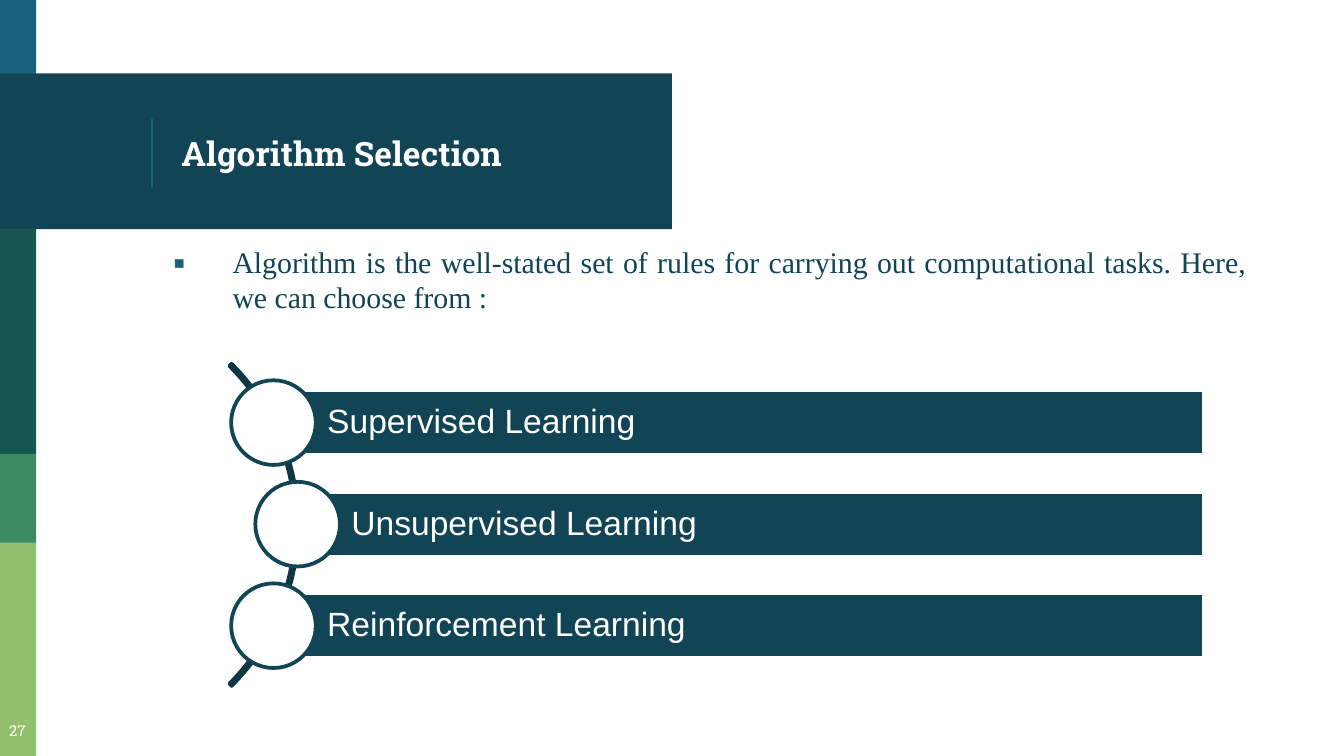
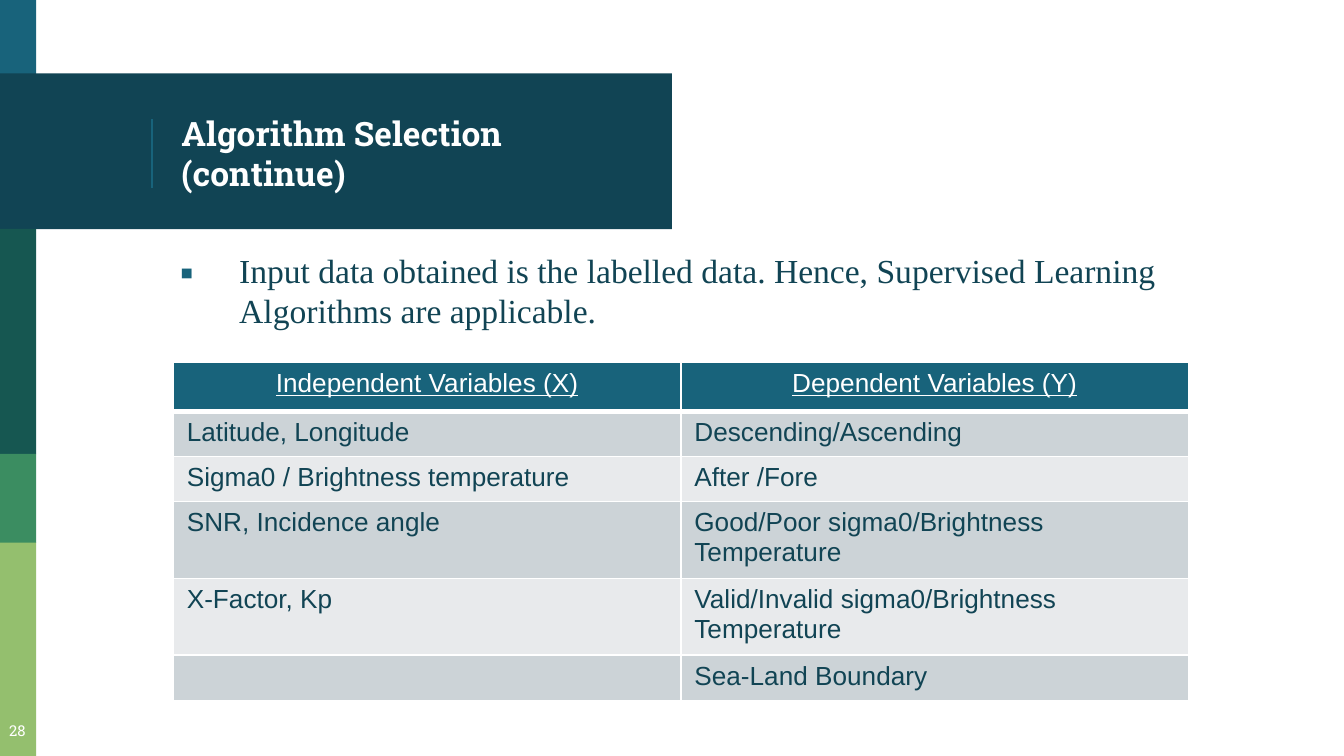
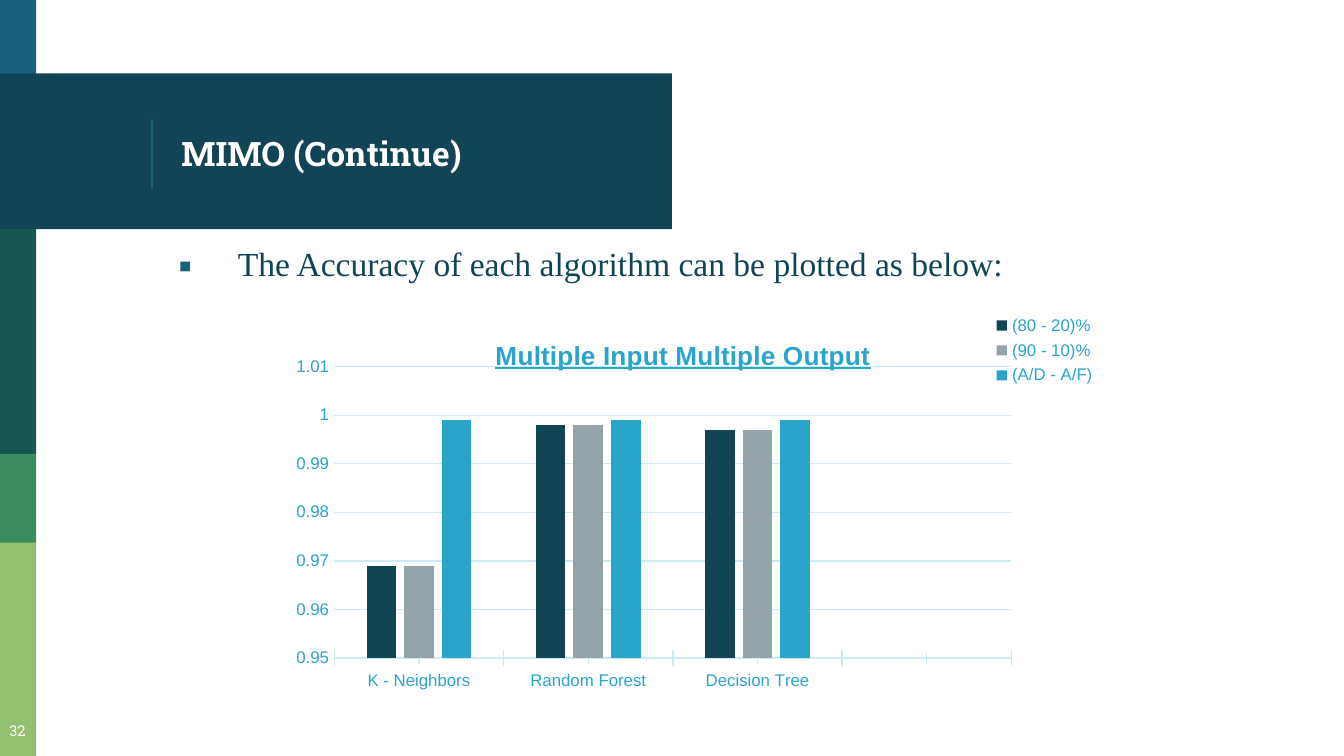
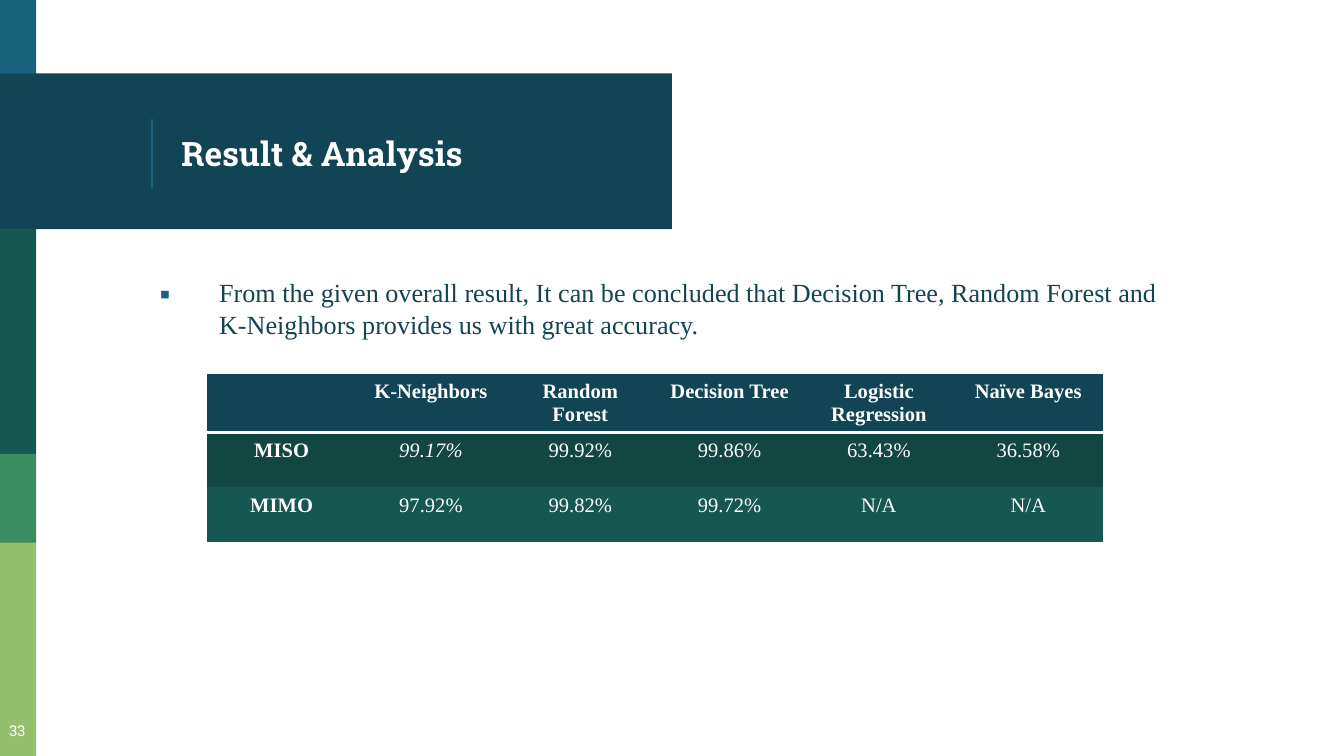
from dataclasses import dataclass

from lxml import etree
from pptx import Presentation
from pptx.chart.data import CategoryChartData
from pptx.dml.color import RGBColor
from pptx.enum.chart import XL_CHART_TYPE, XL_LEGEND_POSITION, XL_TICK_LABEL_POSITION, XL_TICK_MARK
from pptx.enum.shapes import MSO_CONNECTOR, MSO_SHAPE
from pptx.enum.text import MSO_ANCHOR, MSO_AUTO_SIZE, PP_ALIGN
from pptx.oxml.ns import qn
from pptx.util import Pt

RECT, OVAL, ARC = MSO_SHAPE.RECTANGLE, MSO_SHAPE.OVAL, MSO_SHAPE.BLOCK_ARC
STRAIGHT = MSO_CONNECTOR.STRAIGHT
LEFT, CENTER, JUSTIFY = PP_ALIGN.LEFT, PP_ALIGN.CENTER, PP_ALIGN.JUSTIFY
TOP, MIDDLE = MSO_ANCHOR.TOP, MSO_ANCHOR.MIDDLE
NO_AUTOFIT = MSO_AUTO_SIZE.NONE
CLUSTERED = XL_CHART_TYPE.COLUMN_CLUSTERED
CORNER = XL_LEGEND_POSITION.CORNER
TICK_CROSS, TICK_NONE = XL_TICK_MARK.CROSS, XL_TICK_MARK.NONE
LABELS_LOW = XL_TICK_LABEL_POSITION.LOW
PLAIN_TABLE_STYLE = "{2D5ABB26-0587-4C30-8999-92F81FD0307C}"


@dataclass(frozen=True)
class Theme:
    # Colours
    white: str = "FFFFFF"
    navy: str = "114454"
    teal: str = "18637B"
    pine: str = "165751"
    dark_pine: str = "124641"
    green: str = "3B8D61"
    lime: str = "94BF6E"
    arc: str = "0E3643"
    row_odd: str = "CCD3D7"
    row_even: str = "E8EAEC"
    grey: str = "93A3A9"
    sky: str = "29A4CB"
    grid: str = "CCEBF5"
    # Fonts
    slab: str = "Roboto Slab"
    serif: str = "Times New Roman"
    sans: str = "Arial"
    # Type sizes
    title: float = 18
    large: float = 18
    medium: float = 16
    small: float = 14
    result: float = 11
    chart: float = 10
    axis: float = 9
    number: float = 8


THEME = Theme()
PAGE_WIDTH, PAGE_HEIGHT = 720, 405
INSET = 7.2


def rgb(colour):
    return RGBColor.from_string(colour)


def points(*lengths):
    return [Pt(length) for length in lengths]


# Text
def style_font(font, name, size, colour, bold=False, italic=False, underline=False):
    font.name, font.size = name, Pt(size)
    font.color.rgb = rgb(colour)
    font.bold, font.italic, font.underline = bold, italic, underline


def add_run(paragraph, text, *style, **emphasis):
    run = paragraph.add_run()
    run.text = text
    style_font(run.font, *style, **emphasis)


def set_frame(frame, anchor, margins=(INSET,) * 4):
    frame.word_wrap = True
    frame.auto_size = NO_AUTOFIT
    frame.vertical_anchor = anchor
    (frame.margin_left, frame.margin_top,
     frame.margin_right, frame.margin_bottom) = points(*margins)


def place(shape, box):
    shape.left, shape.top, shape.width, shape.height = points(*box)


def set_bullet(paragraph):
    properties = paragraph._p.get_or_add_pPr()
    properties.set("marL", str(Pt(36)))
    properties.set("indent", str(-Pt(31.68)))
    colour = etree.SubElement(properties, qn("a:buClr"))
    etree.SubElement(colour, qn("a:srgbClr"), val=THEME.teal)
    etree.SubElement(properties, qn("a:buFont"), typeface=THEME.slab)
    etree.SubElement(properties, qn("a:buChar"), char="▪")


# Shapes
def add_shape(slide, kind, box, fill=None, line=None):
    shape = slide.shapes.add_shape(kind, *points(*box))
    shape.shadow.inherit = False
    if fill:
        shape.fill.solid()
        shape.fill.fore_color.rgb = rgb(fill)
    else:
        shape.fill.background()
    if line:
        shape.line.color.rgb = rgb(line)
        shape.line.width = Pt(2)
    else:
        shape.line.fill.background()
    return shape


def build_layout(layout, slide):
    """Draw the side strip and title band, then hand them to the layout."""
    parts = [
        add_shape(slide, RECT, box, fill) for box, fill in (
            ((0, 0, 19.44, 41.76), THEME.teal),
            ((0, 39.4, 360, 83.4), THEME.navy),
            ((0, 122.6, 19.44, 120.8), THEME.pine),
            ((0, 243.2, 19.44, 47.6), THEME.green),
            ((0, 290.7, 19.44, 114.3), THEME.lime),
        )
    ]
    rule = slide.shapes.add_connector(STRAIGHT, *points(81.5, 64, 81.5, 100.8))
    rule.line.color.rgb = rgb(THEME.teal)
    rule.line.width = Pt(0.75)
    etree.SubElement(rule.element.spPr, qn("a:effectLst"))
    for depth, part in enumerate([*parts, rule], start=2):
        layout.shapes.element.insert(depth, part.element)


def fill_slide(slide, title, number, statement, body_box, size,
               align=LEFT, title_width=252.72):
    # Title
    place(slide.shapes.title, (90, 41.76, title_width, 80.64))
    frame = slide.shapes.title.text_frame
    set_frame(frame, MIDDLE)
    frame.paragraphs[0].alignment = LEFT
    add_run(frame.paragraphs[0], title, THEME.slab, THEME.title, THEME.white, bold=True)

    # Bulleted statement
    body = slide.placeholders[1]
    place(body, body_box)
    set_frame(body.text_frame, TOP)
    paragraph = body.text_frame.paragraphs[0]
    paragraph.alignment = align
    paragraph.space_before = Pt(6)
    set_bullet(paragraph)
    add_run(paragraph, statement, THEME.serif, size, THEME.navy)

    # Page number
    page = slide.shapes.add_textbox(*points(-4.32, 379.6, 27.36, 25.2)).text_frame
    set_frame(page, TOP)
    page.paragraphs[0].alignment = CENTER
    add_run(page.paragraphs[0], str(number), THEME.slab, THEME.number, THEME.white)


# Learning types along an arc
def add_learning_types(slide, names):
    arc = add_shape(slide, ARC, (-84.24, 159.12, 244.08, 244.08), line=THEME.arc)
    arc.adjustments[0], arc.adjustments[1], arc.adjustments[2] = 189, 27, 0.007
    right_edge, bar_height, diameter, step = 645.12, 34.56, 45.36, 54.4
    for index, name in enumerate(names):
        circle_left = 123.84 + (12.96 if index % 2 else 0)
        circle_top = 203.76 + index * step
        bar_left = circle_left + diameter / 2
        bar_top = circle_top + (diameter - bar_height) / 2
        bar = add_shape(slide, RECT,
                        (bar_left, bar_top, right_edge - bar_left, bar_height),
                        THEME.navy, THEME.white)
        set_frame(bar.text_frame, MIDDLE, (28.8, 3.6, 3.6, 3.6))
        paragraph = bar.text_frame.paragraphs[0]
        paragraph.alignment = LEFT
        paragraph.line_spacing = 0.9
        add_run(paragraph, name, THEME.sans, THEME.large, THEME.white)
        add_shape(slide, OVAL, (circle_left, circle_top, diameter, diameter),
                  THEME.white, THEME.navy)


# Tables
def set_borders(cell, **widths):
    properties = cell._tc.get_or_add_tcPr()
    for side in "LRTB":
        if side in widths:
            line = etree.SubElement(properties, qn(f"a:ln{side}"), w=str(Pt(widths[side])))
            fill = etree.SubElement(line, qn("a:solidFill"))
            etree.SubElement(fill, qn("a:srgbClr"), val=THEME.white)


def fill_cell(cell, text, fill, align, font, size, colour, borders, **emphasis):
    set_borders(cell, **borders)
    cell.fill.solid()
    cell.fill.fore_color.rgb = rgb(fill)
    paragraph = cell.text_frame.paragraphs[0]
    paragraph.alignment = align
    if text:
        add_run(paragraph, text, font, size, colour, **emphasis)
    else:
        etree.SubElement(paragraph._p, qn("a:endParaRPr"), sz=str(int(size * 100)))


def add_grid(slide, left, top, column_width, row_heights, rows, cell_style):
    columns = len(rows[0])
    frame = slide.shapes.add_table(
        len(rows), columns,
        *points(left, top, column_width * columns, sum(row_heights)))
    frame.element.find(".//" + qn("a:tableStyleId")).text = PLAIN_TABLE_STYLE
    table = frame.table
    for column in table.columns:
        column.width = Pt(column_width)
    for row_index, (height, row) in enumerate(zip(row_heights, rows)):
        table.rows[row_index].height = Pt(height)
        for column_index, text in enumerate(row):
            fill_cell(table.cell(row_index, column_index), text,
                      **cell_style(row_index, column_index))


def variable_style(row, column):
    header = row == 0
    banding = THEME.row_odd if row % 2 else THEME.row_even
    return dict(
        fill=THEME.teal if header else banding,
        align=CENTER if header else LEFT,
        font=THEME.sans, size=THEME.small,
        colour=THEME.white if header else THEME.navy,
        borders=dict(L=1, R=1, T=1, B=3 if header else 1),
        underline=header)


def result_style(row, column):
    return dict(
        fill=(THEME.navy, THEME.dark_pine, THEME.pine)[row],
        align=CENTER, font=THEME.serif, size=THEME.result, colour=THEME.white,
        borders=dict(B=2) if row == 0 else {},
        bold=row == 0 or column == 0,
        italic=(row, column) == (1, 1))


# Chart
def set_chart_layout(parent, index, **values):
    layout = parent.find(qn("c:layout"))
    if layout is None:
        layout = etree.Element(qn("c:layout"))
        parent.insert(index, layout)
    manual = etree.SubElement(layout, qn("c:manualLayout"))
    for key, value in values.items():
        etree.SubElement(manual, qn(f"c:{key}"), val=str(value))


def style_line(line, colour):
    line.color.rgb = rgb(colour)
    line.width = Pt(0.75)


def add_accuracy_chart(slide, box, title, categories, series):
    data = CategoryChartData(number_format="General")
    data.categories = categories
    for name, values, _ in series:
        data.add_series(name, values)
    chart = slide.shapes.add_chart(CLUSTERED, *points(*box), data).chart
    style_font(chart.font, THEME.sans, THEME.chart, THEME.navy)

    # Heading and plot position
    chart.has_title = True
    add_run(chart.chart_title.text_frame.paragraphs[0], title,
            THEME.sans, THEME.small, THEME.sky, bold=True, underline=True)
    set_chart_layout(chart.chart_title.element, 1,
                     xMode="edge", yMode="edge", x=0.27, y=0.06)
    set_chart_layout(chart.element.find(".//" + qn("c:plotArea")), 0,
                     layoutTarget="inner", xMode="edge", yMode="edge",
                     x=0.082, y=0.147, w=0.814, h=0.761)

    # Columns
    plot = chart.plots[0]
    plot.gap_width, plot.overlap = 219, -27
    plot.vary_by_categories = False
    for column, (_, _, colour) in zip(plot.series, series):
        column.invert_if_negative = False
        column.format.fill.solid()
        column.format.fill.fore_color.rgb = rgb(colour)

    # Legend
    chart.has_legend = True
    chart.legend.position = CORNER
    chart.legend.include_in_layout = True

    # Axes
    algorithms, accuracy = chart.category_axis, chart.value_axis
    for part in (chart.legend, algorithms.tick_labels, accuracy.tick_labels):
        style_font(part.font, THEME.sans, THEME.axis, THEME.sky)
    algorithms.major_tick_mark = algorithms.minor_tick_mark = TICK_CROSS
    algorithms.tick_label_position = LABELS_LOW
    algorithms.has_major_gridlines = False
    style_line(algorithms.format.line, THEME.grid)
    accuracy.minimum_scale, accuracy.maximum_scale = 0.95, 1.01
    accuracy.major_unit = 0.01
    accuracy.major_tick_mark = accuracy.minor_tick_mark = TICK_NONE
    accuracy.tick_labels.number_format = "General"
    accuracy.tick_labels.number_format_is_linked = False
    accuracy.format.line.fill.background()
    accuracy.has_major_gridlines = True
    style_line(accuracy.major_gridlines.format.line, THEME.grid)


def main():
    deck = Presentation()
    deck.slide_width, deck.slide_height = points(PAGE_WIDTH, PAGE_HEIGHT)
    layout = deck.slide_layouts[1]
    selection, variables, mimo, results = [
        deck.slides.add_slide(layout) for _ in range(4)]
    build_layout(layout, selection)

    # Algorithm selection
    fill_slide(selection, "Algorithm Selection", 27,
               "Algorithm is the well-stated set of rules for carrying out "
               "computational tasks. Here, we can choose from :",
               (81.36, 123.12, 594, 248.4), THEME.medium, align=JUSTIFY)
    add_learning_types(selection, (
        "Supervised Learning", "Unsupervised Learning", "Reinforcement Learning"))

    # Input and output variables
    fill_slide(variables, "Algorithm Selection (continue)", 28,
               "Input data obtained is the labelled data. Hence, Supervised "
               "Learning Algorithms are applicable.",
               (84.96, 126.72, 594, 248.4), THEME.large, title_width=273.6)
    add_grid(variables, 92.9, 193.9, 271.9, (26.4, 24.2, 24.2, 41.2, 41.2, 24.2), (
        ("Independent Variables (X)", "Dependent Variables (Y)"),
        ("Latitude, Longitude", "Descending/Ascending"),
        ("Sigma0 / Brightness temperature", "After /Fore"),
        ("SNR, Incidence angle", "Good/Poor sigma0/Brightness Temperature"),
        ("X-Factor, Kp", "Valid/Invalid sigma0/Brightness Temperature"),
        ("", "Sea-Land Boundary"),
    ), variable_style)

    # Accuracy of each algorithm
    fill_slide(mimo, "MIMO (Continue)", 32,
               "The Accuracy of each algorithm can be plotted as below:",
               (84.24, 123.12, 594, 248.4), THEME.large)
    add_accuracy_chart(
        mimo, (142.56, 166.32, 445.68, 205.2), "Multiple Input Multiple Output",
        ("K - Neighbors", "Random Forest", "Decision Tree", ""), (
            ("(80 - 20)%", (0.969, 0.998, 0.997, None), THEME.navy),
            ("(90 - 10)%", (0.969, 0.998, 0.997, None), THEME.grey),
            ("(A/D - A/F)", (0.999, 0.999, 0.999, None), THEME.sky),
        ))

    # Overall results
    fill_slide(results, "Result & Analysis", 33,
               "From the given overall result, It can be concluded that Decision "
               "Tree, Random Forest and K-Neighbors provides us with great accuracy.",
               (74.16, 141.12, 565.92, 251.28), THEME.small)
    add_grid(results, 110.88, 200.16, 80, (29.2, 29.2, 29.2), (
        ("", "K-Neighbors", "Random Forest", "Decision Tree",
         "Logistic Regression", "Naïve Bayes"),
        ("MISO", "99.17%", "99.92%", "99.86%", "63.43%", "36.58%"),
        ("MIMO", "97.92%", "99.82%", "99.72%", "N/A", "N/A"),
    ), result_style)

    deck.save("out.pptx")


if __name__ == "__main__":
    main()
